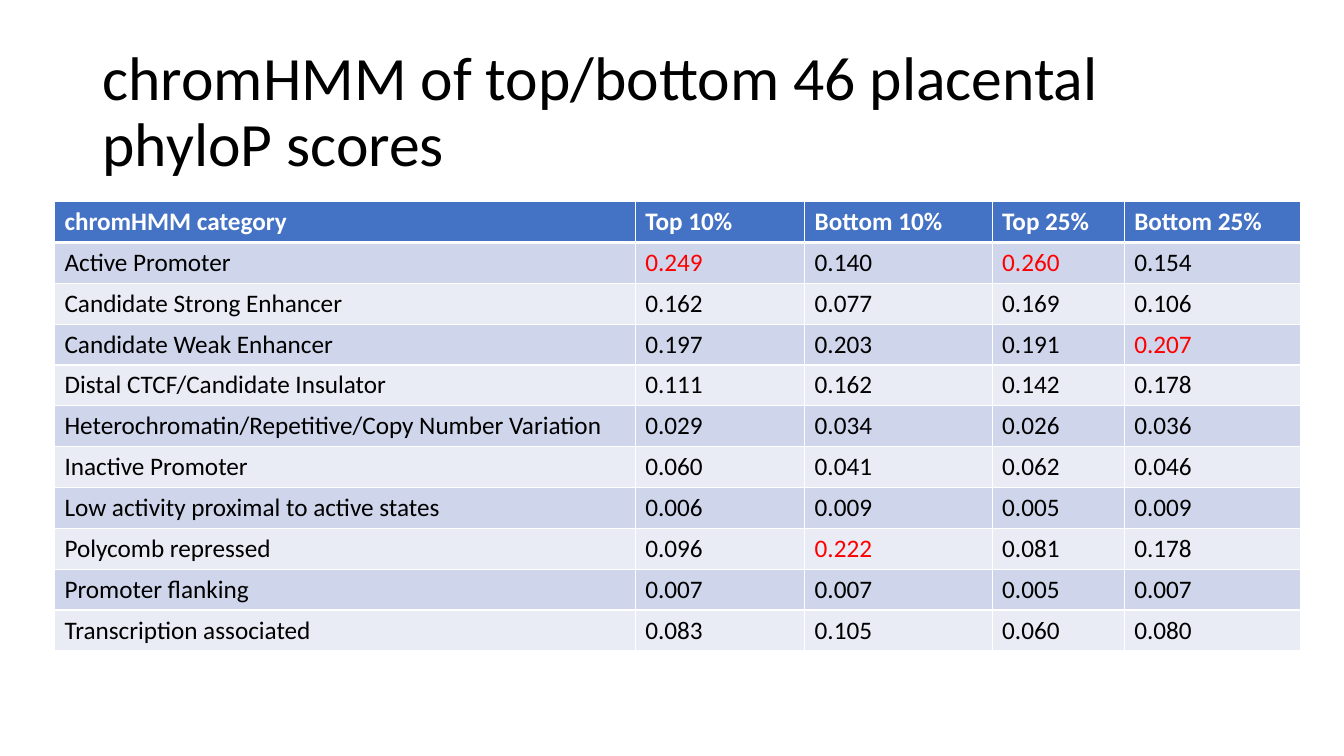
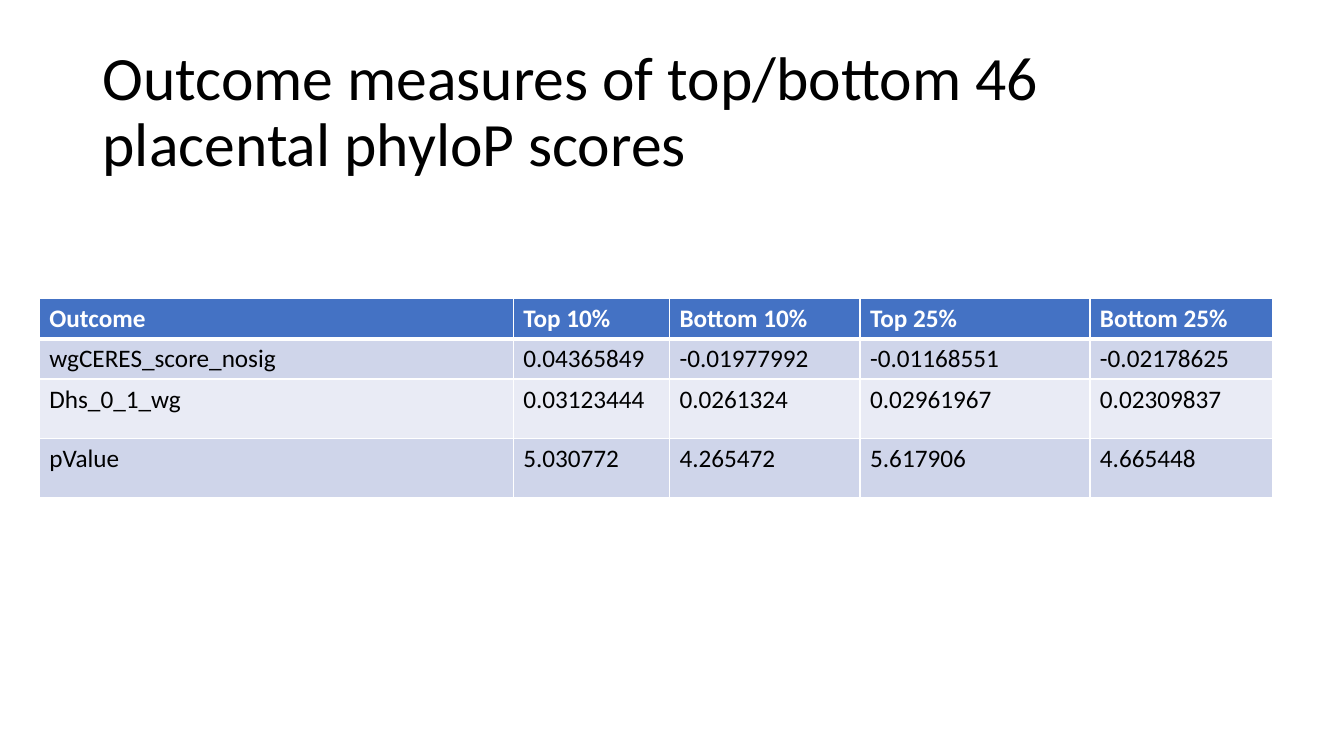
from lxml import etree
from pptx import Presentation
from pptx.dml.color import RGBColor
from pptx.enum.text import MSO_ANCHOR
from pptx.oxml.ns import qn
from pptx.util import Inches, Pt

MIDDLE = MSO_ANCHOR.MIDDLE
FONT = "Calibri"
BLACK, WHITE, RED = "000000", "FFFFFF", "FF0000"
HEADER_FILL = "4472C4"
BAND_FILLS = ("CFD5EA", "E9EBF5")
TITLE_BOX = (0.92, 0.4, 11.5, 1.45)
GRID_PT, HEADER_RULE_PT = 1, 3
SHARES = ["Top 10%", "Bottom 10%", "Top 25%", "Bottom 25%"]

CHROMHMM_ROWS = [
    ["chromHMM category", *SHARES],
    ["Active Promoter", "0.249", "0.140", "0.260", "0.154"],
    ["Candidate Strong Enhancer", "0.162", "0.077", "0.169", "0.106"],
    ["Candidate Weak Enhancer", "0.197", "0.203", "0.191", "0.207"],
    ["Distal CTCF/Candidate Insulator", "0.111", "0.162", "0.142", "0.178"],
    ["Heterochromatin/Repetitive/Copy Number Variation",
     "0.029", "0.034", "0.026", "0.036"],
    ["Inactive Promoter", "0.060", "0.041", "0.062", "0.046"],
    ["Low activity proximal to active states",
     "0.006", "0.009", "0.005", "0.009"],
    ["Polycomb repressed", "0.096", "0.222", "0.081", "0.178"],
    ["Promoter flanking", "0.007", "0.007", "0.005", "0.007"],
    ["Transcription associated", "0.083", "0.105", "0.060", "0.080"],
]
OUTCOME_ROWS = [
    ["Outcome", *SHARES],
    ["wgCERES_score_nosig",
     "0.04365849", "-0.01977992", "-0.01168551", "-0.02178625"],
    ["Dhs_0_1_wg", "0.03123444", "0.0261324", "0.02961967", "0.02309837"],
    ["pValue", "5.030772", "4.265472", "5.617906", "4.665448"],
]


def rgb(color):
    return RGBColor.from_string(color)


def add_run(paragraph, text, size, color, bold=False):
    run = paragraph.add_run()
    run.text = text
    run.font.name = FONT
    run.font.size = Pt(size)
    run.font.bold = bold
    run.font.color.rgb = rgb(color)


def add_title(slide, text, box):
    frame = slide.shapes.add_textbox(*map(Inches, box)).text_frame
    frame.word_wrap = True
    frame.vertical_anchor = MIDDLE
    paragraph = frame.paragraphs[0]
    paragraph.line_spacing = 0.9
    add_run(paragraph, text, 44, BLACK)


def set_borders(cell, top, bottom):
    """Draw white cell edges; top and bottom are widths in points."""
    properties = cell._tc.get_or_add_tcPr()
    widths = {"L": GRID_PT, "R": GRID_PT, "T": top, "B": bottom}
    for side, width in widths.items():
        edge = etree.SubElement(properties, qn(f"a:ln{side}"), w=str(Pt(width)))
        fill = etree.SubElement(edge, qn("a:solidFill"))
        etree.SubElement(fill, qn("a:srgbClr"), val=WHITE)


def column_peaks(rows):
    """Return the (row, column) positions of the largest value per column."""
    body = range(1, len(rows))
    return {(max(body, key=lambda r: float(rows[r][c])), c)
            for c in range(1, len(rows[0]))}


def add_data_table(slide, rows, left, top, widths, heights, highlights=()):
    """Place a banded table, with the highlighted positions in red."""
    table = slide.shapes.add_table(
        len(rows), len(widths), Inches(left), Inches(top),
        Inches(sum(widths)), Inches(sum(heights))).table
    for column, width in zip(table.columns, widths):
        column.width = Inches(width)
    for r, (values, height) in enumerate(zip(rows, heights)):
        table.rows[r].height = Inches(height)
        header = r == 0
        for c, value in enumerate(values):
            cell = table.cell(r, c)
            set_borders(cell,
                        top=HEADER_RULE_PT if r == 1 else GRID_PT,
                        bottom=HEADER_RULE_PT if header else GRID_PT)
            cell.fill.solid()
            cell.fill.fore_color.rgb = rgb(
                HEADER_FILL if header else BAND_FILLS[(r - 1) % 2])
            body_color = RED if (r, c) in highlights else BLACK
            add_run(cell.text_frame.paragraphs[0], value, 18,
                    WHITE if header else body_color, bold=header)


def add_titled_slide(deck, title):
    slide = deck.slides.add_slide(deck.slide_layouts[6])
    add_title(slide, title, TITLE_BOX)
    return slide


def add_chromhmm_slide(deck):
    slide = add_titled_slide(
        deck, "chromHMM of top/bottom 46 placental phyloP scores")
    add_data_table(slide, CHROMHMM_ROWS, 0.54, 2,
                   widths=[5.76, 1.68, 1.86, 1.31, 1.75],
                   heights=[4.46 / len(CHROMHMM_ROWS)] * len(CHROMHMM_ROWS),
                   highlights=column_peaks(CHROMHMM_ROWS))


def add_outcome_slide(deck):
    slide = add_titled_slide(
        deck, "Outcome measures of top/bottom 46 placental phyloP scores")
    add_data_table(slide, OUTCOME_ROWS, 0.39, 2.96,
                   widths=[4.7, 1.55, 1.89, 2.28, 1.81],
                   heights=[0.4, 0.4, 0.59, 0.59])


def main():
    deck = Presentation()
    deck.slide_width, deck.slide_height = Inches(13.33), Inches(7.5)
    add_chromhmm_slide(deck)
    add_outcome_slide(deck)
    deck.save("out.pptx")


if __name__ == "__main__":
    main()
